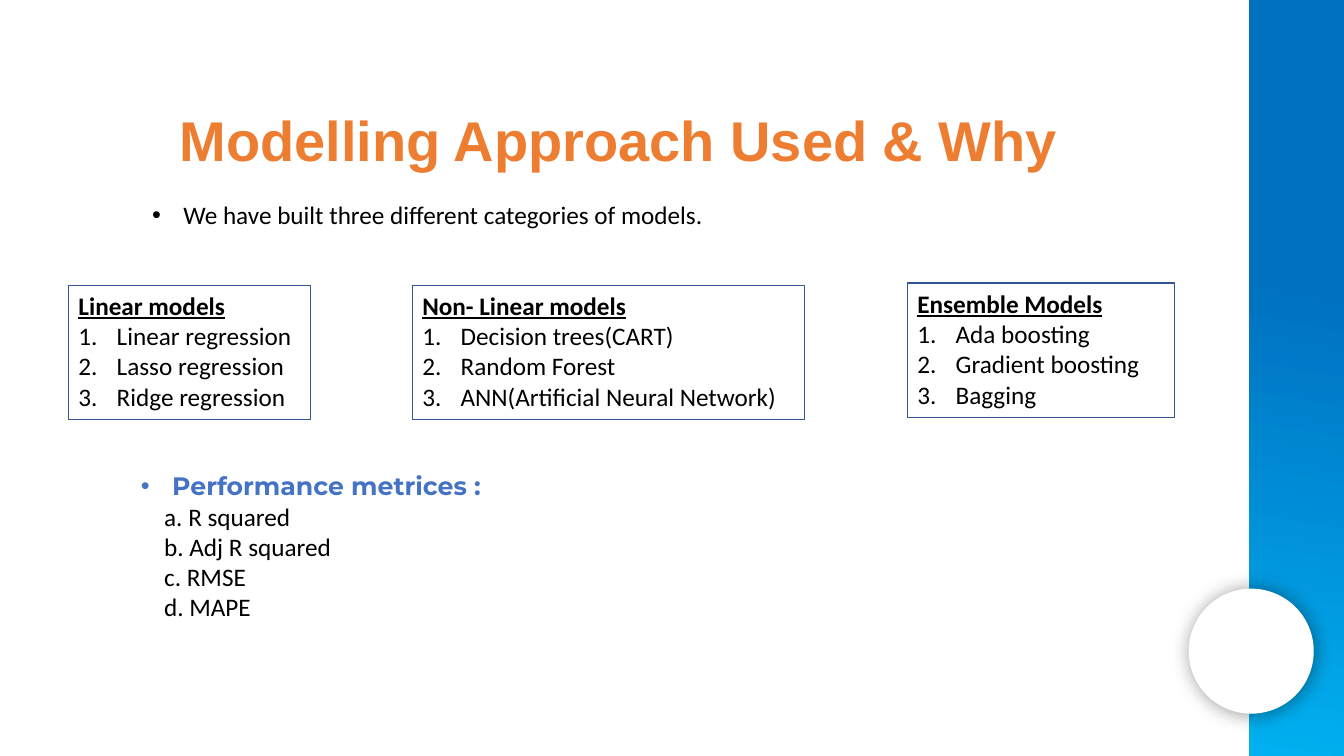
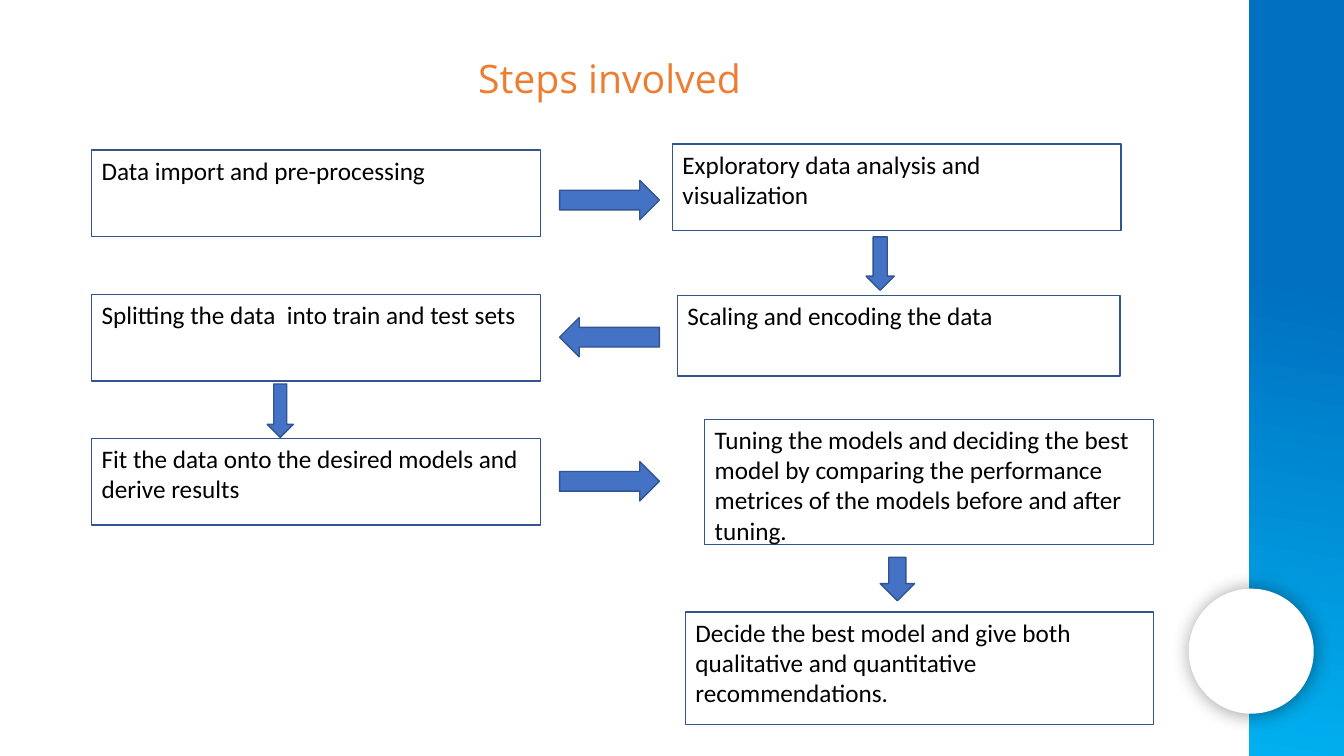
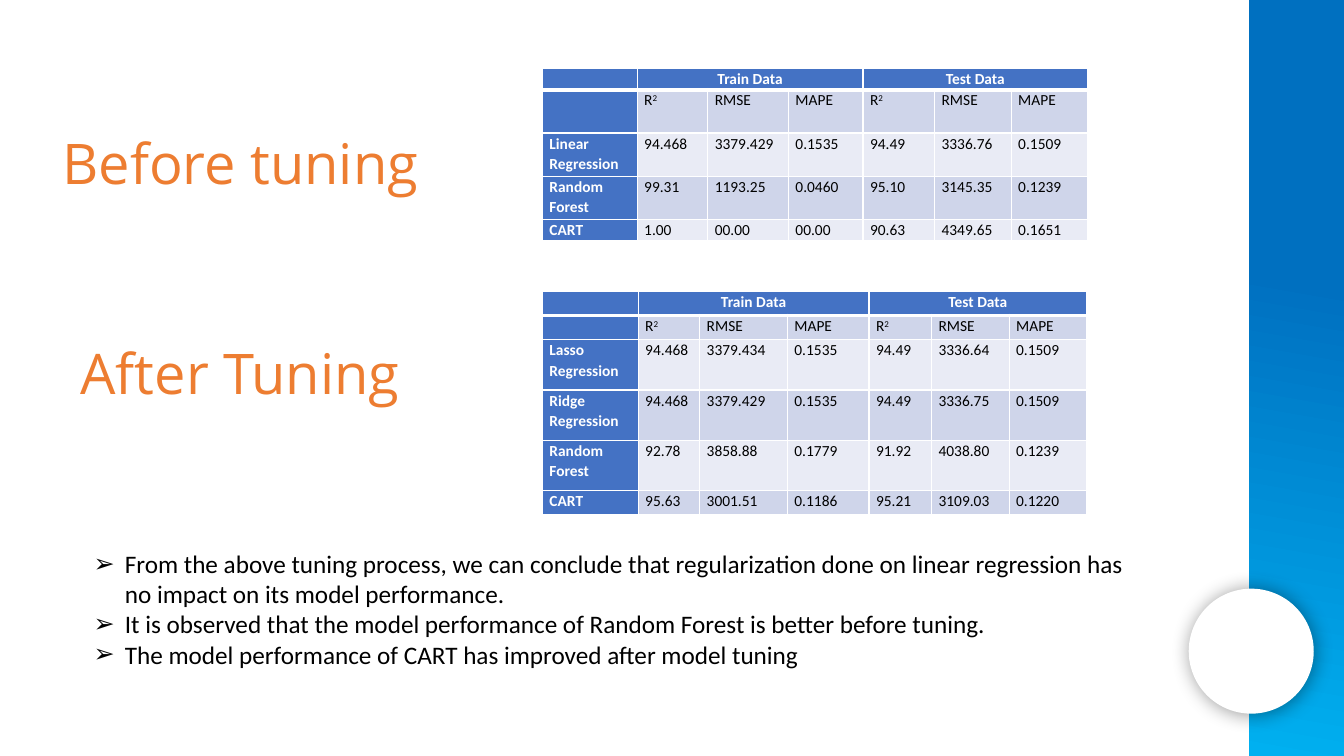
from typing import Any, NamedTuple, Optional

import lxml.etree
import pptx
import pptx.dml.color
import pptx.enum.shapes
import pptx.enum.text
import pptx.oxml.ns
import pptx.shapes.autoshape
import pptx.slide
import pptx.text.text
import pptx.util

RGBColor = pptx.dml.color.RGBColor
Inches = pptx.util.Inches
Pt = pptx.util.Pt
MSO_SHAPE = pptx.enum.shapes.MSO_SHAPE
PP_ALIGN = pptx.enum.text.PP_ALIGN
qn = pptx.oxml.ns.qn

WHITE = RGBColor(0xFF, 0xFF, 0xFF)
BLACK = RGBColor(0x00, 0x00, 0x00)
ORANGE = RGBColor(0xED, 0x7D, 0x31)
BLUE = RGBColor(0x44, 0x72, 0xC4)
OUTLINE = RGBColor(0x32, 0x54, 0x91)
BAND_TOP = RGBColor(0x00, 0x70, 0xC0)
BAND_BOTTOM = RGBColor(0x00, 0xB0, 0xF0)
ROW_DARK = RGBColor(0xCF, 0xD5, 0xEA)
ROW_LIGHT = RGBColor(0xE9, 0xEB, 0xF5)

BODY_FONT = "Calibri"
HEADING_FONT = "Open Sans"


class Box(NamedTuple):
    left: float
    top: float
    width: float
    height: float


class ModelGroup(NamedTuple):
    box: Box
    heading: str
    models: list[str]


class Step(NamedTuple):
    box: Box
    text: str


class Arrow(NamedTuple):
    kind: Any
    box: Box


class ScoreTable(NamedTuple):
    top: float
    cols: list[float]
    rows: list[float]
    scores: list[str]


def lengths(box: Box) -> list[int]:
    return [Inches(v) for v in box]


def write(p: Any, text: str, *, size: float = 18, font: str = BODY_FONT,
          color: RGBColor = BLACK, bold: bool = False, underline: bool = False,
          superscript: bool = False) -> None:
    r = p.add_run()
    r.text = text
    r.font.size = Pt(size)
    r.font.name = font
    r.font.color.rgb = color
    r.font.bold = bold
    r.font.underline = underline
    if superscript:
        r._r.get_or_add_rPr().set("baseline", "30000")


def next_paragraph(tf: Any) -> Any:
    return tf.add_paragraph() if tf.paragraphs[0].runs else tf.paragraphs[0]


def indent(p: Any, margin: float, hanging: float = 0, bullet: Optional[str] = None,
           numbered: bool = False) -> None:
    pPr = p._p.get_or_add_pPr()
    pPr.set("marL", str(Inches(margin)))
    pPr.set("indent", str(-Inches(hanging)))
    if bullet:
        lxml.etree.SubElement(pPr, qn("a:buFont"), typeface="Arial")
        lxml.etree.SubElement(pPr, qn("a:buChar"), char=bullet)
    elif numbered:
        lxml.etree.SubElement(pPr, qn("a:buAutoNum"), type="arabicPeriod")


def add_bullet(tf: Any, bullet: str, text: str, **fmt: Any) -> None:
    p = next_paragraph(tf)
    indent(p, 0.31, 0.31, bullet=bullet)
    write(p, text, **fmt)


def add_text_box(slide: pptx.slide.Slide, box: Box) -> Any:
    tf = slide.shapes.add_textbox(*lengths(box)).text_frame
    tf.word_wrap = True
    return tf


def add_shape(slide: pptx.slide.Slide, kind: Any, box: Box, fill: RGBColor,
              outlined: bool = True) -> pptx.shapes.autoshape.Shape:
    sp = slide.shapes.add_shape(kind, *lengths(box))
    sp.shadow.inherit = False
    sp.fill.solid()
    sp.fill.fore_color.rgb = fill
    if outlined:
        sp.line.color.rgb = OUTLINE
        sp.line.width = Pt(1)
    else:
        sp.line.fill.background()
    return sp


def add_framed_text(slide: pptx.slide.Slide, box: Box, text: str, **fmt: Any) -> Any:
    tf = add_shape(slide, MSO_SHAPE.RECTANGLE, box, WHITE).text_frame
    tf.word_wrap = True
    tf.vertical_anchor = pptx.enum.text.MSO_ANCHOR.TOP
    p = tf.paragraphs[0]
    p.alignment = PP_ALIGN.LEFT
    write(p, text, **fmt)
    return tf


def set_heading(tf: Any, text: str, *, align: Any = PP_ALIGN.LEFT, inset: float = 0.05,
                size: float = 40, font: str = HEADING_FONT, bold: bool = False) -> None:
    tf.word_wrap = True
    tf.auto_size = pptx.enum.text.MSO_AUTO_SIZE.NONE
    tf.vertical_anchor = pptx.enum.text.MSO_ANCHOR.TOP
    tf.margin_top = Inches(inset)
    p = tf.paragraphs[0]
    p.alignment = align
    write(p, text, size=size, font=font, color=ORANGE, bold=bold)


def add_titled_slide(prs: Any, layout: Any, box: Box, text: str, **fmt: Any) -> pptx.slide.Slide:
    slide = prs.slides.add_slide(layout)
    title = slide.shapes.title
    title.left, title.top, title.width, title.height = lengths(box)
    set_heading(title.text_frame, text, **fmt)
    return slide


def decorate_layout(layout: Any, slide: pptx.slide.Slide) -> None:
    for placeholder in list(layout.placeholders)[1:]:
        layout.shapes.element.remove(placeholder.element)

    band = add_shape(slide, MSO_SHAPE.RECTANGLE, Box(12.39, 0, 0.94, 7.5), BAND_TOP, outlined=False)
    band.fill.gradient()
    band.fill.gradient_angle = 260
    for stop, position, color in zip(band.fill.gradient_stops, (0.37, 1), (BAND_TOP, BAND_BOTTOM)):
        stop.position = position
        stop.color.rgb = color

    disc = add_shape(slide, MSO_SHAPE.OVAL, Box(11.79, 5.84, 1.24, 1.24), WHITE, outlined=False)
    effects = disc.element.spPr.find(qn("a:effectLst"))
    shadow = lxml.etree.SubElement(effects, qn("a:outerShdw"), blurRad=str(Pt(14)),
                                   dist=str(Pt(1)), dir=str(43 * 60000), rotWithShape="0")
    tint = lxml.etree.SubElement(shadow, qn("a:srgbClr"), val=str(BLACK))
    lxml.etree.SubElement(tint, qn("a:alpha"), val="40000")

    for sp in (band, disc):
        layout.shapes.element.append(sp.element)


def set_borders(cell: Any, row: int) -> None:
    tcPr = cell._tc.get_or_add_tcPr()
    thick = {0: "a:lnB", 1: "a:lnT"}.get(row)
    for side in ("a:lnL", "a:lnR", "a:lnT", "a:lnB"):
        ln = lxml.etree.SubElement(tcPr, qn(side), w=str(Pt(3 if side == thick else 1)))
        fill = lxml.etree.SubElement(ln, qn("a:solidFill"))
        lxml.etree.SubElement(fill, qn("a:srgbClr"), val=str(WHITE))


def fill_cell(cell: Any, row: int, col: int, text: str) -> None:
    header = row == 0 or col == 0
    set_borders(cell, row)
    cell.fill.solid()
    cell.fill.fore_color.rgb = BLUE if header else ROW_DARK if row % 2 else ROW_LIGHT
    cell.margin_left = cell.margin_right = Inches(0.07)
    cell.margin_top = cell.margin_bottom = 0
    p = cell.text_frame.paragraphs[0]
    p.alignment = PP_ALIGN.CENTER if row == 0 else PP_ALIGN.LEFT
    p.line_spacing = 1.07
    p.space_after = Pt(8)
    if text:
        base, caret, power = text.partition("^")
        write(p, base, size=11, color=WHITE if header else BLACK, bold=header)
        if caret:
            write(p, power, size=11, superscript=True)
    else:
        lxml.etree.SubElement(p._p, qn("a:endParaRPr"), sz="1100")


def add_score_table(slide: pptx.slide.Slide, spec_table: ScoreTable) -> None:
    top, cols, rows, scores = spec_table
    box = Box(5.38, top, sum(cols), sum(rows))
    table = slide.shapes.add_table(len(rows), len(cols), *lengths(box)).table
    for column, width in zip(table.columns, cols):
        column.width = Inches(width)
    for line, height in zip(table.rows, rows):
        line.height = Inches(height)
    lines = ["|Train Data|||Test Data||", "|R^2|RMSE|MAPE|R^2|RMSE|MAPE", *scores]
    for row, line in enumerate(lines):
        for col, text in enumerate(line.split("|")):
            fill_cell(table.cell(row, col), row, col, text)
    for first in (1, 4):
        table.cell(0, first).merge(table.cell(0, first + 2))


MODEL_GROUPS = [
    ModelGroup(Box(0.68, 2.83, 2.4, 1.33), "Linear models",
               ["Linear regression", "Lasso regression", "Ridge regression"]),
    ModelGroup(Box(4.09, 2.83, 3.89, 1.33), "Non- Linear models",
               ["Decision trees(CART)", "Random Forest", "ANN(Artificial Neural Network)"]),
    ModelGroup(Box(9, 2.81, 2.65, 1.33), "Ensemble Models",
               ["Ada boosting", "Gradient boosting", "Bagging"]),
]

METRICS = ["a. R squared", "b. Adj R squared", "c. RMSE", "d. MAPE"]

LEFT_STEPS = [
    "Data import and pre-processing",
    "Splitting the data  into train and test sets",
    "Fit the data onto the desired models and derive results",
]

STEPS = [Step(Box(0.91, 1.49 + 1.43 * i, 4.45, 0.86), text) for i, text in enumerate(LEFT_STEPS)] + [
    Step(Box(6.67, 1.43, 4.45, 0.86), "Exploratory data analysis and visualization"),
    Step(Box(6.72, 2.93, 4.39, 0.8), "Scaling and encoding the data"),
    Step(Box(6.99, 4.16, 4.45, 1.24),
         "Tuning the models and deciding the best model by comparing the performance "
         "metrices of the models before and after tuning."),
    Step(Box(6.8, 6.07, 4.64, 1.12),
         "Decide the best model and give both qualitative and quantitative recommendations."),
]

ARROWS = [
    Arrow(MSO_SHAPE.RIGHT_ARROW, Box(5.55, 1.79, 0.99, 0.39)),
    Arrow(MSO_SHAPE.DOWN_ARROW, Box(8.59, 2.35, 0.28, 0.53)),
    Arrow(MSO_SHAPE.LEFT_ARROW, Box(5.55, 3.15, 0.99, 0.39)),
    Arrow(MSO_SHAPE.DOWN_ARROW, Box(2.65, 3.81, 0.26, 0.53)),
    Arrow(MSO_SHAPE.RIGHT_ARROW, Box(5.55, 4.58, 0.99, 0.39)),
    Arrow(MSO_SHAPE.DOWN_ARROW, Box(8.73, 5.53, 0.34, 0.43)),
]

BEFORE = ScoreTable(0.68, [0.94, 0.7, 0.8, 0.74, 0.71, 0.76, 0.76], [0.21, 0.43, 0.43, 0.43, 0.21], [
    "Linear Regression|94.468|3379.429|0.1535|94.49|3336.76|0.1509",
    "Random Forest|99.31|1193.25|0.0460|95.10|3145.35|0.1239",
    "CART|1.00|00.00|00.00|90.63|4349.65|0.1651",
])

AFTER = ScoreTable(2.89, [0.95, 0.61, 0.87, 0.81, 0.62, 0.77, 0.77], [0.24, 0.24, 0.5, 0.5, 0.5, 0.24], [
    "Lasso Regression|94.468|3379.434|0.1535|94.49|3336.64|0.1509",
    "Ridge Regression|94.468|3379.429|0.1535|94.49|3336.75|0.1509",
    "Random Forest|92.78|3858.88|0.1779|91.92|4038.80|0.1239",
    "CART|95.63|3001.51|0.1186|95.21|3109.03|0.1220",
])

CONCLUSIONS = [
    "From the above tuning process, we can conclude that regularization done on linear "
    "regression has no impact on its model performance.",
    "It is observed that the model performance of Random Forest is better before tuning.",
    "The model performance of CART has improved after model tuning",
]


def build_modelling_slide(prs: Any, layout: Any) -> pptx.slide.Slide:
    slide = add_titled_slide(prs, layout, Box(1.68, 1, 9.97, 0.77), "Modelling Approach Used & Why",
                             font="Arial", bold=True)
    for group in MODEL_GROUPS:
        tf = add_framed_text(slide, group.box, group.heading, bold=True, underline=True)
        for model in group.models:
            p = tf.add_paragraph()
            p.alignment = PP_ALIGN.LEFT
            indent(p, 0.38, 0.38, numbered=True)
            write(p, model)
    add_bullet(add_text_box(slide, Box(1.41, 1.93, 8.78, 0.4)), "•",
               "We have built three different categories of models.")
    tf = add_text_box(slide, Box(1.3, 4.62, 9.74, 2.73))
    add_bullet(tf, "•", "Performance metrices :", font="Montserrat", color=BLUE, bold=True)
    for metric in METRICS:
        p = tf.add_paragraph()
        indent(p, 0.23)
        write(p, metric)
    return slide


def build_steps_slide(prs: Any, layout: Any) -> None:
    slide = add_titled_slide(prs, layout, Box(0.48, 0.49, 11.13, 0.8), "Steps involved",
                             size=28, align=PP_ALIGN.CENTER)
    for step in STEPS:
        add_framed_text(slide, step.box, step.text)
    for arrow in ARROWS:
        add_shape(slide, arrow.kind, arrow.box, BLUE)


def build_tuning_slide(prs: Any, layout: Any) -> None:
    slide = add_titled_slide(prs, layout, Box(0.52, 0.59, 10.59, 1.75), "Before tuning", inset=0.68)
    add_score_table(slide, BEFORE)
    set_heading(add_text_box(slide, Box(0.7, 2.74, 7.29, 1.68)), "After Tuning", inset=0.62)
    add_score_table(slide, AFTER)
    tf = add_text_box(slide, Box(0.83, 5.39, 10.55, 1.62))
    for conclusion in CONCLUSIONS:
        add_bullet(tf, "➢", conclusion)


def main() -> None:
    prs = pptx.Presentation()
    prs.slide_width = Inches(13.33)
    prs.slide_height = Inches(7.5)
    layout = prs.slide_layouts[5]
    decorate_layout(layout, build_modelling_slide(prs, layout))
    build_steps_slide(prs, layout)
    build_tuning_slide(prs, layout)
    prs.save("out.pptx")


main()
